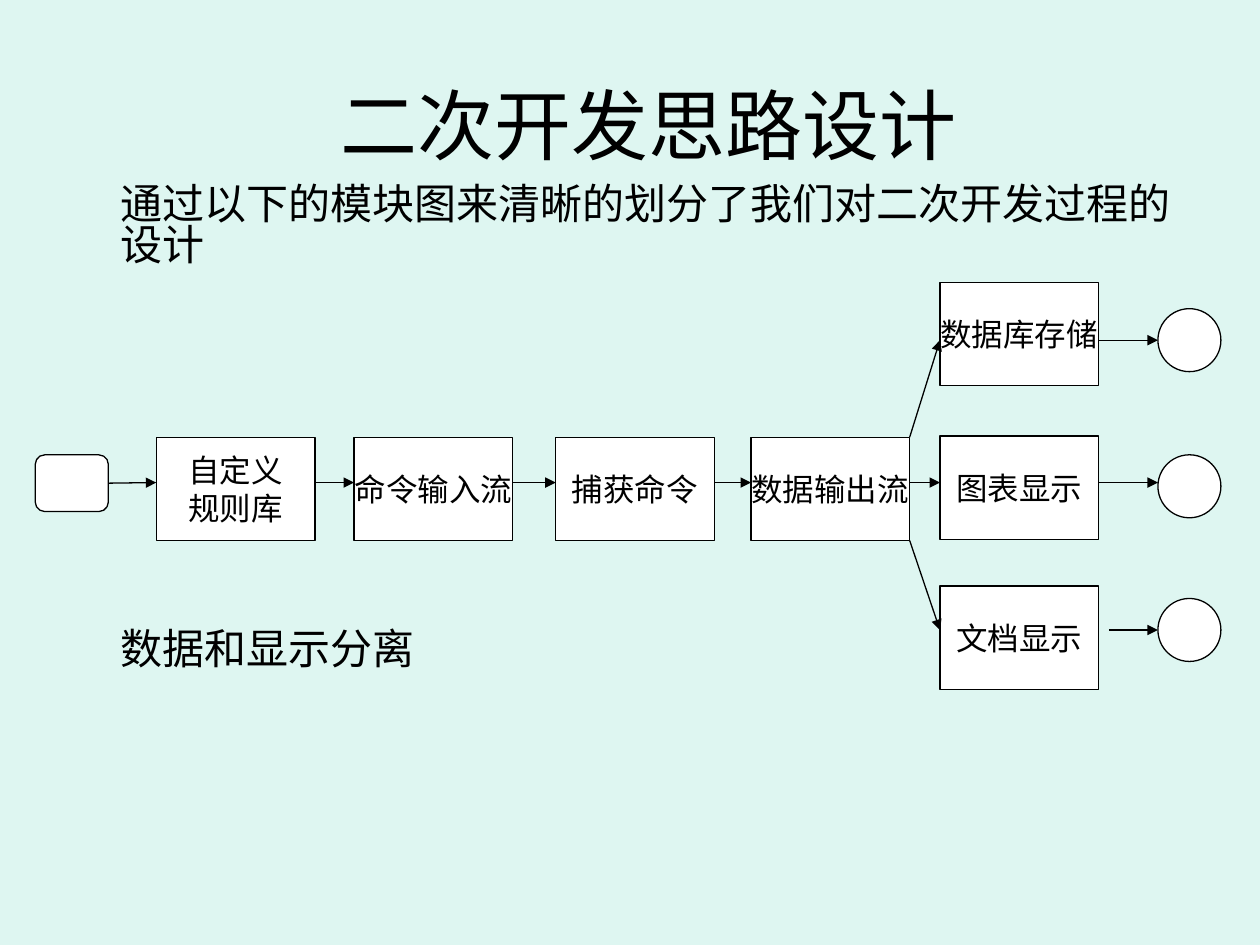
from pptx import Presentation
from pptx import util as u
from pptx.dml.color import RGBColor
from pptx.enum import shapes, text
from pptx.oxml.ns import qn
from lxml import etree

# Content
COLORS = {"background": "DEF6F1", "fill": "FFFFFF", "ink": "000000"}
FONT = "Arial"
TITLE = "二次开发思路设计"
NOTES = ["通过以下的模块图来清晰的划分了我们对二次开发过程的设计", "数据和显示分离"]
STAGES = [  # left, lines
    (1.24, ["自定义", "规则库"]),
    (2.81, ["命令输入流"]),
    (4.41, ["捕获命令"]),
    (5.96, ["数据输出流"]),
]
OUTPUTS = [  # box top, circle top, arrow height, arrow start, lines
    (2.24, 2.45, 2.7, 8.72, ["数据库存储"]),
    (3.46, 3.61, 3.83, 8.72, ["图表显示"]),
    (4.65, 4.75, 5, 8.8, ["文档显示"]),
]

# Layout
BOX_W, BOX_H = 1.26, 0.82
STAGE_Y, FLOW_Y = 3.47, 3.83
OUTPUT_X, CIRCLE_X, CIRCLE_D = 7.46, 9.19, 0.5
START = (0.28, 3.61, 0.58, 0.45)

prs = Presentation()
prs.slide_width, prs.slide_height = u.Inches(10), u.Inches(7.5)
s = prs.slides.add_slide(prs.slide_layouts[6])


def color(name):
    return RGBColor.from_string(COLORS[name])


def write(tf, lines, size, **formats):
    for i, line in enumerate(lines):
        p = tf.paragraphs[0] if i == 0 else tf.add_paragraph()
        for key, value in formats.items():
            setattr(p, key, value)
        r = p.add_run()
        r.text = line
        for key, value in {"size": u.Pt(size), "name": FONT}.items():
            setattr(r.font, key, value)
        r.font.color.rgb = color("ink")


def add_text(box, lines, size, anchor, **formats):
    tf = s.shapes.add_textbox(*map(u.Inches, box)).text_frame
    tf.word_wrap = True
    tf.vertical_anchor = anchor
    write(tf, lines, size, **formats)
    return tf


def add_node(kind, box, lines=()):
    sp = s.shapes.add_shape(kind, *map(u.Inches, box))
    sp.shadow.inherit = False
    sp.fill.solid()
    sp.fill.fore_color.rgb = color("fill")
    sp.line.color.rgb = color("ink")
    sp.line.width = u.Pt(0.75)
    sp.text_frame.word_wrap = False
    sp.text_frame.vertical_anchor = text.MSO_ANCHOR.MIDDLE
    write(sp.text_frame, lines, 18, alignment=text.PP_ALIGN.CENTER)
    return sp


def add_arrow(x1, y1, x2, y2):
    line = s.shapes.add_connector(
        shapes.MSO_CONNECTOR.STRAIGHT, *map(u.Inches, (x1, y1, x2, y2)))
    line.line.color.rgb = color("ink")
    line.line.width = u.Pt(0.75)
    ln = line.line._get_or_add_ln()
    etree.SubElement(ln, qn("a:tailEnd"), type="triangle")
    etree.SubElement(line._element.spPr, qn("a:effectLst"))
    return line


# Background and text
s.background.fill.solid()
s.background.fill.fore_color.rgb = color("background")
add_text((1.5, 0.56, 7.3, 0.84), [TITLE], 44, text.MSO_ANCHOR.MIDDLE,
         alignment=text.PP_ALIGN.CENTER)
notes = add_text((0.86, 1.44, 8.58, 4.93), NOTES, 24, text.MSO_ANCHOR.TOP,
                 line_spacing=0.8)
notes.paragraphs[1].space_before = u.Pt(208)

# Stages of the flow
process = shapes.MSO_SHAPE.FLOWCHART_PROCESS
start = add_node(shapes.MSO_SHAPE.FLOWCHART_ALTERNATE_PROCESS, START)
for left, lines in STAGES:
    add_node(process, (left, STAGE_Y, BOX_W, BOX_H), lines)

# Arrows between stages
lefts = [left for left, _ in STAGES]
rights = [left + BOX_W for left in lefts]
first = add_arrow(START[0] + START[2], FLOW_Y, lefts[0], FLOW_Y)
first.begin_connect(start, 3)
for right, left in zip(rights, lefts[1:]):
    add_arrow(right, FLOW_Y, left, FLOW_Y)

# Outputs, fanning out from the corners and side of the last stage
exits = [STAGE_Y, FLOW_Y, STAGE_Y + BOX_H]
for exit_y, (top, circle_top, arrow_y, arrow_x, lines) in zip(exits, OUTPUTS):
    add_node(process, (OUTPUT_X, top, BOX_W, BOX_H), lines)
    add_node(shapes.MSO_SHAPE.FLOWCHART_CONNECTOR,
             (CIRCLE_X, circle_top, CIRCLE_D, CIRCLE_D))
    add_arrow(rights[-1], exit_y, OUTPUT_X, arrow_y)
    add_arrow(arrow_x, arrow_y, CIRCLE_X, arrow_y)

prs.save("out.pptx")
